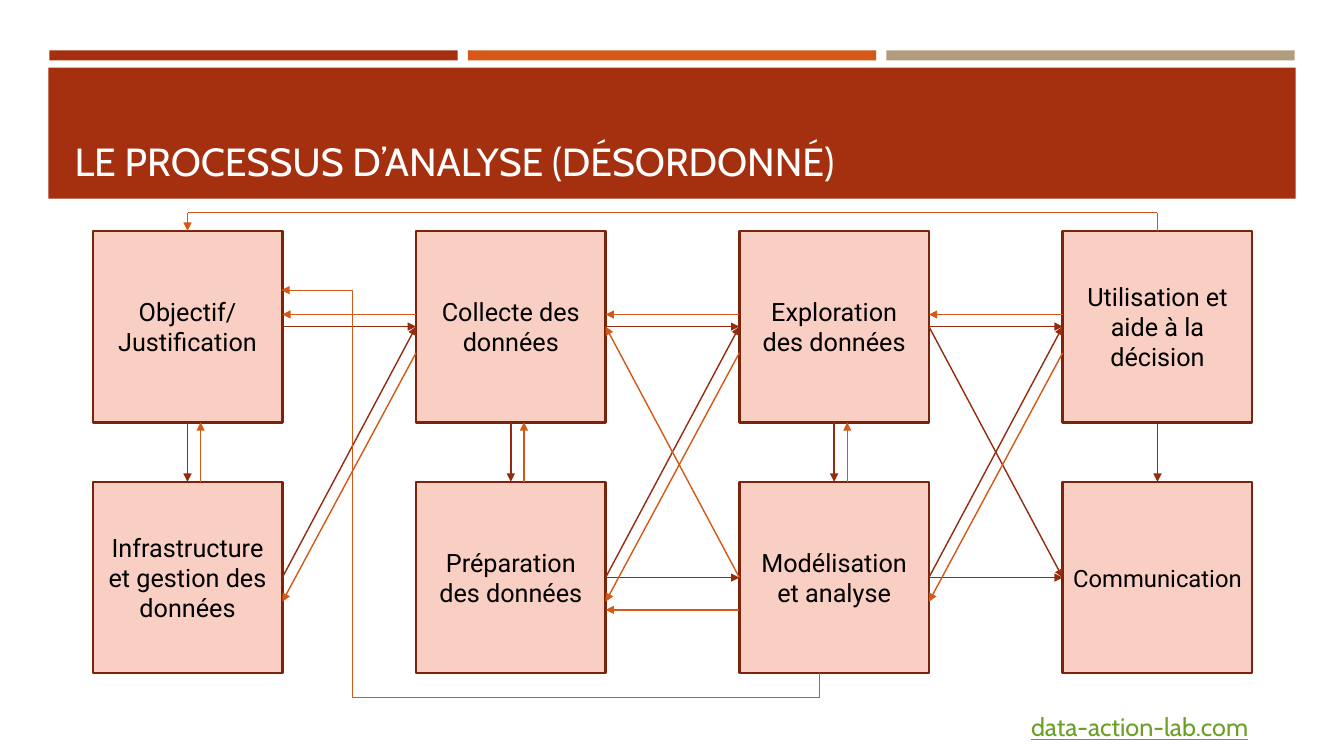
from pptx import Presentation
from pptx.dml.color import RGBColor
from pptx.enum.shapes import MSO_CONNECTOR as CONNECTOR, MSO_SHAPE
from pptx.enum.text import MSO_ANCHOR as ANCHOR, MSO_AUTO_SIZE, PP_ALIGN as ALIGN
from pptx.oxml.ns import qn
from pptx.util import Inches, Pt
from lxml import etree

RED, ORANGE, TAN = "A5300F", "D55816", "B19C7D"
DARK_RED, BOX_FILL, BOX_LINE = "942B0E", "F9CFC3", "7A240B"
TOP, LEFT, BOTTOM, RIGHT = range(4)

BOX_WIDTH, BOX_HEIGHT = 1.88, 1.9
FIRST_LEFT, COLUMN_STEP = 0.92, 9.62 / 3
ROW_TOPS = (2.29, 4.78)
UPPER_BOTTOM = ROW_TOPS[0] + BOX_HEIGHT

# One pair per column: upper box, lower box
STEPS = [
    ("Objectif/\nJustification", "Infrastructure et gestion des données"),
    ("Collecte des données", "Préparation des données"),
    ("Exploration des données", "Modélisation et analyse"),
    ("Utilisation et aide à la décision", "Communication"),
]

# (column, row) of each end of the forward arrows between columns
FORWARD = [
    ((0, 0), (1, 0)), ((0, 1), (1, 0)),
    ((1, 0), (2, 0)), ((1, 1), (2, 0)), ((1, 1), (2, 1)),
    ((2, 0), (3, 0)), ((2, 0), (3, 1)), ((2, 1), (3, 1)), ((2, 1), (3, 0)),
]


def color(value):
    return RGBColor.from_string(value)


def column_left(column):
    return FIRST_LEFT + column * COLUMN_STEP


def column_right(column):
    return column_left(column) + BOX_WIDTH


def column_middle(column):
    return column_left(column) + BOX_WIDTH / 2


def write_text(shape, text, size=18, font="Roboto", fill="000000",
               align=ALIGN.CENTER, anchor=ANCHOR.MIDDLE, underline=None):
    frame = shape.text_frame
    frame.word_wrap = True
    frame.auto_size = MSO_AUTO_SIZE.NONE
    frame.vertical_anchor = anchor
    frame.text = text
    for paragraph in frame.paragraphs:
        paragraph.alignment = align
        paragraph.font.size = Pt(size)
        paragraph.font.name = font
        paragraph.font.underline = underline
        paragraph.font.color.rgb = color(fill)


def add_rectangle(slide, left, top, width, height, fill, line=None):
    shape = slide.shapes.add_shape(MSO_SHAPE.RECTANGLE, Inches(left), Inches(top),
                                   Inches(width), Inches(height))
    shape.shadow.inherit = False
    shape.fill.solid()
    shape.fill.fore_color.rgb = color(fill)
    if line:
        shape.line.color.rgb = color(line)
        shape.line.width = Pt(1.75)
    else:
        shape.line.fill.background()
    return shape


def add_line(slide, start=(0, 0), end=(0, 0), line=ORANGE, arrow=True,
             kind=CONNECTOR.STRAIGHT, begin_at=None, end_at=None):
    """Join two points; begin_at and end_at are (box, side) and replace a point."""
    connector = slide.shapes.add_connector(kind, *map(Inches, start + end))
    if begin_at:
        connector.begin_connect(*begin_at)
    if end_at:
        connector.end_connect(*end_at)
    connector.line.color.rgb = color(line)
    connector.line.width = Pt(1)
    properties = connector.element.spPr
    if arrow:
        etree.SubElement(properties.find(qn("a:ln")), qn("a:tailEnd"), type="triangle")
    etree.SubElement(properties, qn("a:effectLst"))
    return connector


def add_header(slide):
    for index, fill in enumerate((RED, ORANGE, TAN)):
        add_rectangle(slide, 0.49 + index * 4.15, 0.5, 4.05, 0.1, fill)
    add_rectangle(slide, 0.48, 0.67, 12.37, 1.3, RED)

    title = slide.shapes.title
    title.left, title.top = Inches(0.64), Inches(0.77)
    title.width, title.height = Inches(12.06), Inches(1.11)
    write_text(title, "LE PROCESSUS D’ANALYSE (DÉSORDONNÉ)", size=28, font="Cabin",
               fill="FFFFFF", align=ALIGN.LEFT, anchor=ANCHOR.BOTTOM)
    title.element.getparent().append(title.element)  # in front of the band


def add_boxes(slide):
    boxes = {}
    for column, labels in enumerate(STEPS):
        for row, label in enumerate(labels):
            box = add_rectangle(slide, column_left(column), ROW_TOPS[row],
                                BOX_WIDTH, BOX_HEIGHT, BOX_FILL, BOX_LINE)
            write_text(box, label, size=17 if label == "Communication" else 18)
            boxes[column, row] = box
    return boxes


def add_forward_arrows(slide, boxes):
    for column in range(len(STEPS)):
        add_line(slide, line=DARK_RED, begin_at=(boxes[column, 0], BOTTOM),
                 end_at=(boxes[column, 1], TOP))
    for source, target in FORWARD:
        add_line(slide, line=DARK_RED, begin_at=(boxes[source], RIGHT),
                 end_at=(boxes[target], LEFT))


def add_return_arrows(slide, boxes):
    for column in range(3):
        right, next_left = column_right(column), column_left(column + 1)
        middle = column_middle(column) + 0.13
        add_line(slide, (middle, ROW_TOPS[1]), (middle, UPPER_BOTTOM))
        add_line(slide, (next_left, 3.12), (right, 3.12))
        add_line(slide, (next_left, 3.5), (right, 5.97))
    add_line(slide, (column_left(2), 6.05), (column_right(1), 6.05))
    add_line(slide, begin_at=(boxes[2, 1], LEFT), end_at=(boxes[1, 0], RIGHT))


def add_long_loops(slide, boxes):
    first, last, loop_top = column_middle(0), column_middle(3), 2.11
    add_line(slide, end=(last, loop_top), arrow=False, begin_at=(boxes[3, 0], TOP))
    add_line(slide, (last, loop_top), (first, loop_top), arrow=False)
    add_line(slide, (first, loop_top), end_at=(boxes[0, 0], TOP))

    add_line(slide, (8.13, 6.92), (8.13, 6.68), arrow=False)
    elbow = add_line(slide, (8.13, 6.92), (2.79, 2.88), kind=CONNECTOR.ELBOW)
    guides = elbow.element.spPr.find(qn("a:prstGeom")).get_or_add_avLst()
    etree.SubElement(guides, qn("a:gd"), name="adj1", fmla="val 86800")


def main():
    presentation = Presentation()
    presentation.slide_width, presentation.slide_height = Inches(13.33), Inches(7.5)
    slide = presentation.slides.add_slide(presentation.slide_layouts[5])
    add_header(slide)
    boxes = add_boxes(slide)
    add_forward_arrows(slide, boxes)
    add_return_arrows(slide, boxes)
    add_long_loops(slide, boxes)
    website = slide.shapes.add_textbox(Inches(9.88), Inches(7.01), Inches(2.6), Inches(0.4))
    write_text(website, "data-action-lab.com", font="Cabin", fill="6B9F25",
               align=ALIGN.RIGHT, anchor=ANCHOR.TOP, underline=True)
    presentation.save("out.pptx")


if __name__ == "__main__":
    main()
